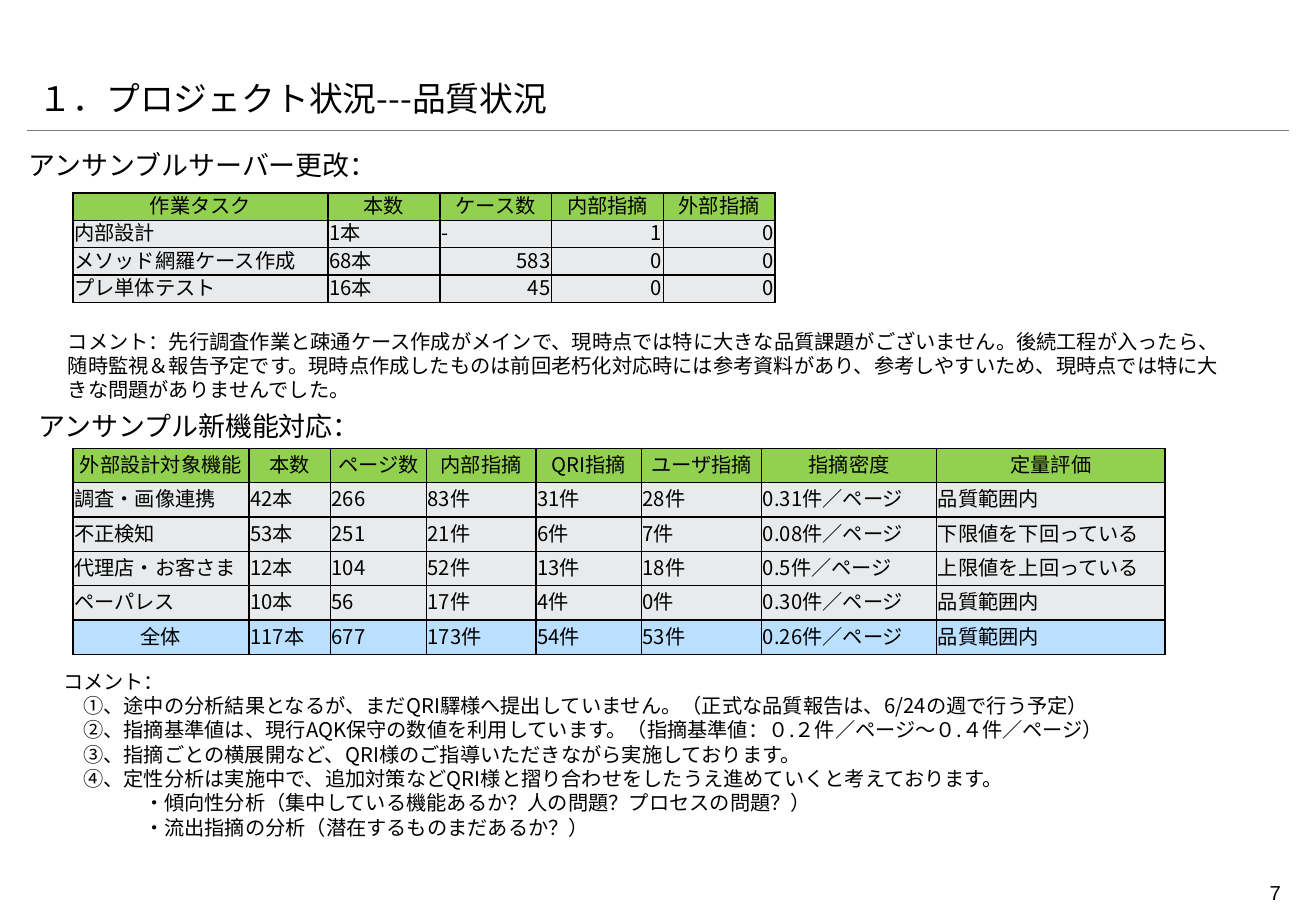
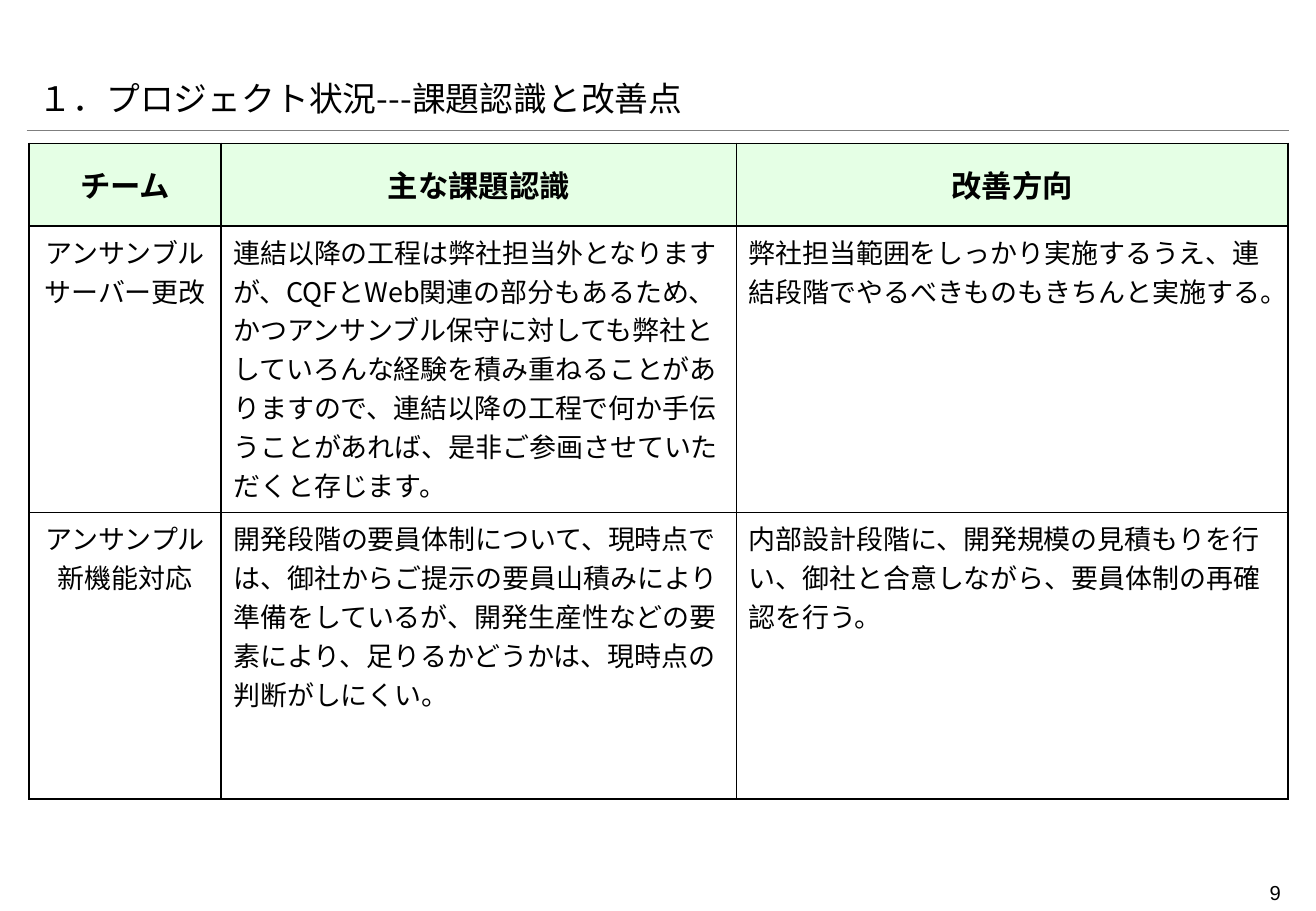
from lxml import etree
from pptx import Presentation
from pptx.dml.color import RGBColor
from pptx.enum.shapes import MSO_CONNECTOR
from pptx.enum.text import MSO_ANCHOR, PP_ALIGN
from pptx.oxml.ns import qn
from pptx.util import Inches, Pt

JP_FONT = "Noto Sans CJK JP"
NUMBER_FONT = "Arial"
BLACK, RULE_GRAY = "000000", "7F7F7F"
GREEN, PALE_GRAY, PALE_BLUE, MINT = "92D050", "E8EAEC", "BBDFFF", "E5FFE5"
ALIGN = {"l": PP_ALIGN.LEFT, "c": PP_ALIGN.CENTER, "r": PP_ALIGN.RIGHT}
TOP, MIDDLE, BOTTOM = MSO_ANCHOR.TOP, MSO_ANCHOR.MIDDLE, MSO_ANCHOR.BOTTOM
STRAIGHT = MSO_CONNECTOR.STRAIGHT
TIGHT = 1.2  # line pitch as a multiple of the text size
WIDE_INSETS = (0.1, 0.05, 0.1, 0.05)
THIN_INSETS = (0.01, 0.01, 0.01, 0)

TASK_ROWS = [
    (GREEN, "ccccc", ["作業タスク", "本数", "ケース数", "内部指摘", "外部指摘"]),
    (PALE_GRAY, "lllrr", ["内部設計", "1本", "-", "1", "0"]),
    (PALE_GRAY, "llrrr", ["メソッド網羅ケース作成", "68本", "583", "0", "0"]),
    (PALE_GRAY, "llrrr", ["プレ単体テスト", "16本", "45", "0", "0"]),
]
TASK_COMMENT = (
    "コメント：先行調査作業と疎通ケース作成がメインで、現時点では特に大きな品質課題が"
    "ございません。後続工程が入ったら、随時監視＆報告予定です。現時点作成したものは"
    "前回老朽化対応時には参考資料があり、参考しやすいため、現時点では特に大きな問題が"
    "ありませんでした。")
FEATURE_ROWS = [
    (GREEN, "cccccccc", ["外部設計対象機能", "本数", "ページ数", "内部指摘", "QRI指摘",
                         "ユーザ指摘", "指摘密度", "定量評価"]),
    (PALE_GRAY, "llllllll", ["調査・画像連携", "42本", "266", "83件", "31件", "28件",
                             "0.31件／ページ", "品質範囲内"]),
    (PALE_GRAY, "llllllll", ["不正検知", "53本", "251", "21件", "6件", "7件",
                             "0.08件／ページ", "下限値を下回っている"]),
    (PALE_GRAY, "llllllll", ["代理店・お客さま", "12本", "104", "52件", "13件", "18件",
                             "0.5件／ページ", "上限値を上回っている"]),
    (PALE_GRAY, "llllllll", ["ペーパレス", "10本", "56", "17件", "4件", "0件",
                             "0.30件／ページ", "品質範囲内"]),
    (PALE_BLUE, "clllllll", ["全体", "117本", "677", "173件", "54件", "53件",
                             "0.26件／ページ", "品質範囲内"]),
]
FEATURE_COMMENTS = [
    "コメント：",
    "①、途中の分析結果となるが、まだQRI驛様へ提出していません。"
    "（正式な品質報告は、6/24の週で行う予定）",
    "②、指摘基準値は、現行AQK保守の数値を利用しています。"
    "（指摘基準値：０.２件／ページ～０.４件／ページ）",
    "③、指摘ごとの横展開など、QRI様のご指導いただきながら実施しております。",
    "④、定性分析は実施中で、追加対策などQRI様と摺り合わせをしたうえ"
    "進めていくと考えております。",
    "・傾向性分析（集中している機能あるか？人の問題？プロセスの問題？）",
    "・流出指摘の分析（潜在するものまだあるか？）",
]
COMMENT_INDENTS = [0, 1, 1, 1, 1, 4, 4]  # in characters

ISSUE_HEADER = [(MINT, "ccc", ["チーム", "主な課題認識", "改善方向"])]
ISSUE_ROWS = [
    (None, "cll", [
        ["アンサンブル", "サーバー更改"],
        "連結以降の工程は弊社担当外となりますが、CQFとWeb関連の部分もあるため、"
        "かつアンサンブル保守に対しても弊社としていろんな経験を積み重ねることが"
        "ありますので、連結以降の工程で何か手伝うことがあれば、是非ご参画させて"
        "いただくと存じます。",
        "弊社担当範囲をしっかり実施するうえ、連結段階でやるべきものもきちんと実施する。"]),
    (None, "cll", [
        ["アンサンプル", "新機能対応"],
        "開発段階の要員体制について、現時点では、御社からご提示の要員山積みにより"
        "準備をしているが、開発生産性などの要素により、足りるかどうかは、"
        "現時点の判断がしにくい。",
        "内部設計段階に、開発規模の見積もりを行い、御社と合意しながら、"
        "要員体制の再確認を行う。"]),
]


def rgb(color):
    return RGBColor.from_string(color)


def write_text(frame, content, size=12, font=JP_FONT, bold=False, align="l",
               pitch=None, indents=None):
    """Fill a text frame; content is one string or a list of paragraphs."""
    lines = [content] if isinstance(content, str) else content
    frame.word_wrap = True
    for i, line in enumerate(lines):
        paragraph = frame.paragraphs[0] if i == 0 else frame.add_paragraph()
        paragraph.alignment = ALIGN[align]
        if pitch:
            paragraph.line_spacing = Pt(size * pitch)
        if indents and indents[i]:
            properties = paragraph._p.get_or_add_pPr()
            properties.set("marL", str(Pt(size * indents[i])))
            properties.set("indent", "0")
        run = paragraph.add_run()
        run.text = line
        run.font.size, run.font.bold, run.font.name = Pt(size), bold, font
        run.font.color.rgb = rgb(BLACK)
        east_asian = etree.SubElement(run._r.get_or_add_rPr(), qn("a:ea"))
        east_asian.set("typeface", font)


def set_insets(target, insets):
    (target.margin_left, target.margin_top,
     target.margin_right, target.margin_bottom) = map(Inches, insets)


def add_text(slide, box, content, anchor=TOP, insets=WIDE_INSETS, **text_format):
    frame = slide.shapes.add_textbox(*map(Inches, box)).text_frame
    set_insets(frame, insets)
    frame.vertical_anchor = anchor
    write_text(frame, content, **text_format)


def add_borders(cell, width=1):
    properties = cell._tc.get_or_add_tcPr()
    for i, side in enumerate(("lnL", "lnR", "lnT", "lnB")):
        border = etree.Element(qn(f"a:{side}"), w=str(Pt(width)))
        fill = etree.SubElement(border, qn("a:solidFill"))
        etree.SubElement(fill, qn("a:srgbClr"), val=BLACK)
        properties.insert(i, border)


def fill_rows(table, rows, first=0, anchor=MIDDLE, insets=WIDE_INSETS, **text_format):
    """Write (fill, alignments, texts) rows into the table from row first on."""
    for r, (fill, aligns, texts) in enumerate(rows, first):
        for c, (align, content) in enumerate(zip(aligns, texts)):
            cell = table.cell(r, c)
            set_insets(cell, insets)
            cell.vertical_anchor = anchor
            write_text(cell.text_frame, content, align=align, **text_format)
            if fill:
                cell.fill.solid()
                cell.fill.fore_color.rgb = rgb(fill)
            else:
                cell.fill.background()
            add_borders(cell)


def add_grid(slide, left, top, widths, heights):
    box = (left, top, sum(widths), sum(heights))
    table = slide.shapes.add_table(len(heights), len(widths), *map(Inches, box)).table
    for column, width in zip(table.columns, widths):
        column.width = Inches(width)
    for row, height in zip(table.rows, heights):
        row.height = Inches(height)
    return table


def add_page(deck, title, number):
    """Add a slide with the shared title, rule and page number."""
    slide = deck.slides.add_slide(deck.slide_layouts[6])
    ends = map(Inches, (0.22, 1.07, 10.61, 1.07))
    rule = slide.shapes.add_connector(STRAIGHT, *ends)
    rule.line.color.rgb = rgb(RULE_GRAY)
    rule.line.width = Pt(0.25)
    etree.SubElement(rule._element.spPr, qn("a:effectLst"))
    add_text(slide, (9.75, 7.2, 0.79, 0.3), number, insets=(0, 0.05, 0, 0.05),
             font=NUMBER_FONT, align="r")
    add_text(slide, (0.22, 0.63, 10.4, 0.39), title, anchor=BOTTOM, size=20)
    return slide


def add_quality_page(deck):
    slide = add_page(deck, "１．プロジェクト状況---品質状況", "7")
    add_text(slide, (0.14, 1.17, 9.69, 0.37), "アンサンブルサーバー更改：",
             size=16, pitch=TIGHT)
    tasks = add_grid(slide, 0.6, 1.59, [2.1] + [0.92] * 4, [0.9 / 4] * 4)
    fill_rows(tasks, TASK_ROWS, insets=THIN_INSETS, pitch=TIGHT)
    add_text(slide, (0.46, 2.66, 9.69, 0.7), TASK_COMMENT, pitch=TIGHT)
    add_text(slide, (0.22, 3.32, 9.69, 0.37), "アンサンプル新機能対応：",
             size=16, pitch=TIGHT)
    features = add_grid(slide, 0.6, 3.69,
                        [1.45, 0.67, 0.79, 0.9, 0.87, 0.99, 1.44, 1.88], [1.7 / 6] * 6)
    fill_rows(features, FEATURE_ROWS, insets=THIN_INSETS, pitch=TIGHT)
    add_text(slide, (0.42, 5.46, 9.69, 1.51), FEATURE_COMMENTS,
             pitch=TIGHT, indents=COMMENT_INDENTS)


def add_issue_page(deck):
    slide = add_page(deck, "１．プロジェクト状況---課題認識と改善点", "9")
    issues = add_grid(slide, 0.24, 1.18, [1.58, 4.24, 4.54], [0.68, 2.36, 2.36])
    fill_rows(issues, ISSUE_HEADER, size=18, bold=True)
    fill_rows(issues, ISSUE_ROWS, first=1, anchor=TOP, size=16)


def main():
    deck = Presentation()
    deck.slide_width, deck.slide_height = Inches(10.83), Inches(7.5)
    add_quality_page(deck)
    add_issue_page(deck)
    deck.save("out.pptx")


if __name__ == "__main__":
    main()
